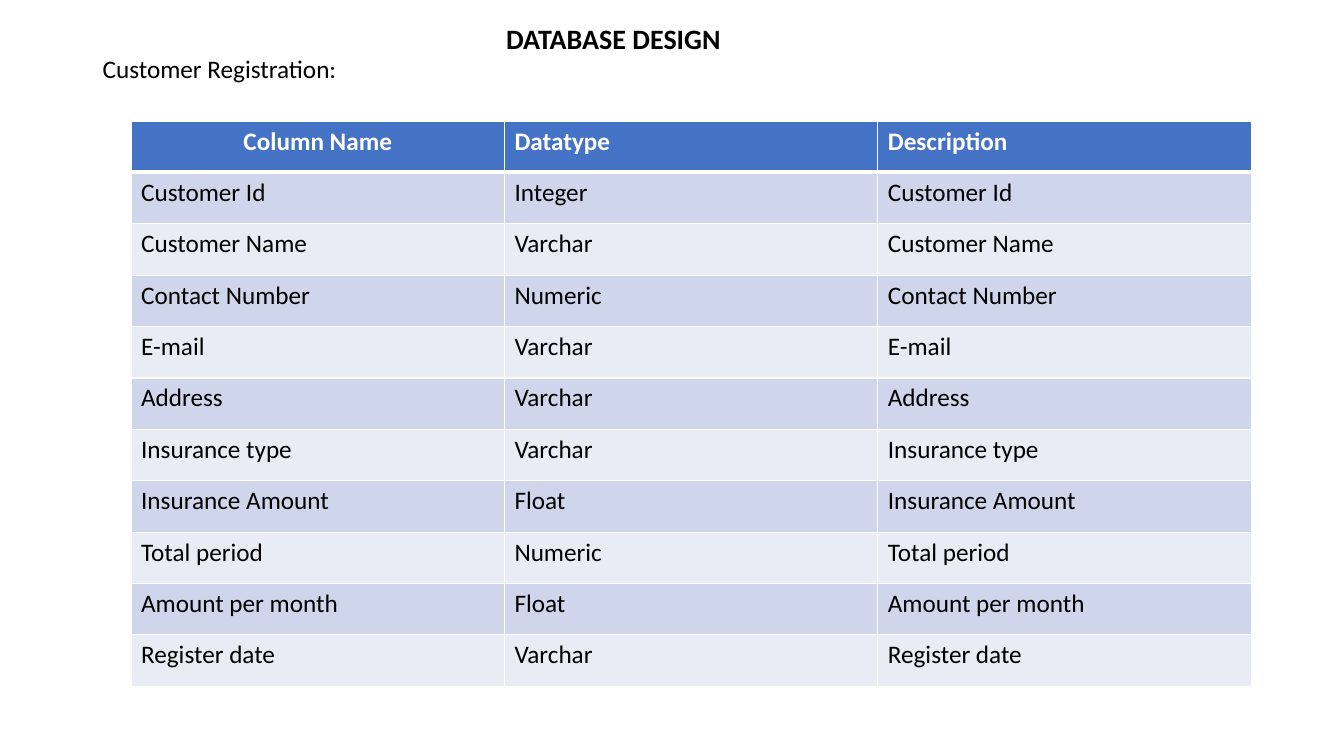
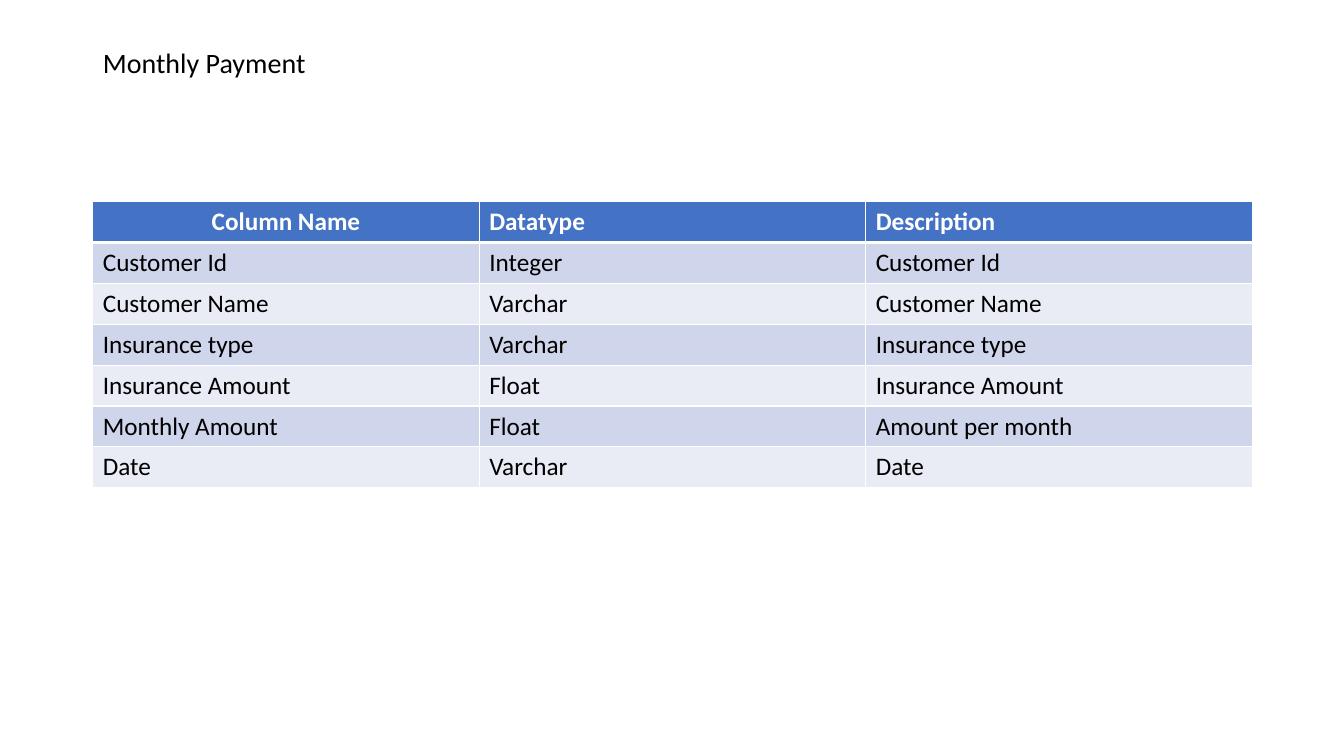
from lxml import etree
from pptx import Presentation
from pptx.dml.color import RGBColor
from pptx.enum.text import MSO_ANCHOR, MSO_AUTO_SIZE, PP_ALIGN
from pptx.oxml.ns import qn
from pptx.util import Inches, Pt

LEFT, CENTER = PP_ALIGN.LEFT, PP_ALIGN.CENTER
TOP, MIDDLE = MSO_ANCHOR.TOP, MSO_ANCHOR.MIDDLE
NO_FIT = MSO_AUTO_SIZE.NONE
TITLE_ONLY = 5
COLORS = {
    "text": "000000",
    "white": "FFFFFF",
    "header": "4472C4",
    "odd": "CFD5EA",
    "even": "E9EBF5",
}
HEADERS = ("Column Name", "Datatype", "Description")


class Deck:
    font = "Calibri"
    left, width = 0.92, 11.5
    inset = 0.1

    def __init__(self):
        self.prs = Presentation()
        self.prs.slide_width = Inches(13.33)
        self.prs.slide_height = Inches(7.5)
        self.s = None

    def add_slide(self):
        self.s = self.prs.slides.add_slide(self.prs.slide_layouts[TITLE_ONLY])

    def format_text(self, p, size, color="text", bold=False, align=LEFT):
        p.alignment = align
        for r in p.runs:
            r.font.name = self.font
            r.font.size = Pt(size)
            r.font.bold = bold
            r.font.color.rgb = RGBColor.from_string(COLORS[color])

    def fill_frame(self, sp, text, size, anchor, bold=False, indent=0):
        tf = sp.text_frame
        tf.text = text
        tf.word_wrap = True
        tf.auto_size = NO_FIT
        tf.vertical_anchor = anchor
        tf.margin_left = Inches(self.inset + indent)
        p = tf.paragraphs[0]
        p.line_spacing = 0.9
        self.format_text(p, size, bold=bold)

    def title(self, text, top, height, bold=False, indent=0):
        sp = self.s.shapes.title
        sp.left, sp.top = Inches(self.left), Inches(top)
        sp.width, sp.height = Inches(self.width), Inches(height)
        self.fill_frame(sp, text, 20, MIDDLE, bold, indent)

    def subtitle(self, text, top, height):
        sp = self.s.shapes.add_textbox(
            Inches(self.left), Inches(top), Inches(self.width), Inches(height))
        self.fill_frame(sp, text, 18, TOP)

    def borders(self, cell, **widths):
        tc_pr = cell._tc.get_or_add_tcPr()
        for i, side in enumerate("LRTB"):
            width = Pt(widths.get(side, 1))
            ln = etree.Element(qn(f"a:ln{side}"), w=str(int(width)))
            fill = etree.SubElement(ln, qn("a:solidFill"))
            etree.SubElement(fill, qn("a:srgbClr"), val=COLORS["white"])
            tc_pr.insert(i, ln)

    def table(self, records, left, top, width, height):
        rows = [HEADERS, *records]
        table = self.s.shapes.add_table(
            len(rows), len(HEADERS), Inches(left), Inches(top),
            Inches(width), Inches(height)).table
        for i, row in enumerate(rows):
            is_header = i == 0
            fill = "header" if is_header else "odd" if i % 2 else "even"
            for j, text in enumerate(row):
                cell = table.cell(i, j)
                cell.text = text
                cell.fill.solid()
                cell.fill.fore_color.rgb = RGBColor.from_string(COLORS[fill])
                self.format_text(
                    cell.text_frame.paragraphs[0], 18,
                    "white" if is_header else "text", is_header,
                    CENTER if is_header and j == 0 else LEFT)
                self.borders(cell, T=3 if i == 1 else 1, B=3 if is_header else 1)


def described(*fields):
    return [(name, datatype, name) for name, datatype in fields]


deck = Deck()

deck.add_slide()
deck.title("DATABASE DESIGN", 0.2, 0.41, bold=True, indent=4)
deck.subtitle("Customer Registration:", 0.51, 0.41)
deck.table(
    described(
        ("Customer Id", "Integer"),
        ("Customer Name", "Varchar"),
        ("Contact Number", "Numeric"),
        ("E-mail", "Varchar"),
        ("Address", "Varchar"),
        ("Insurance type", "Varchar"),
        ("Insurance Amount", "Float"),
        ("Total period", "Numeric"),
        ("Amount per month", "Float"),
        ("Register date", "Varchar"),
    ),
    1.3, 1.2, 11.11, 5.61)

deck.add_slide()
deck.title("Monthly Payment", 0.4, 0.48)
deck.table(
    described(
        ("Customer Id", "Integer"),
        ("Customer Name", "Varchar"),
        ("Insurance type", "Varchar"),
        ("Insurance Amount", "Float"),
    ) + [("Monthly Amount", "Float", "Amount per month")]
    + described(("Date", "Varchar")),
    deck.left, 2, deck.width, 2.84)

deck.prs.save("out.pptx")
